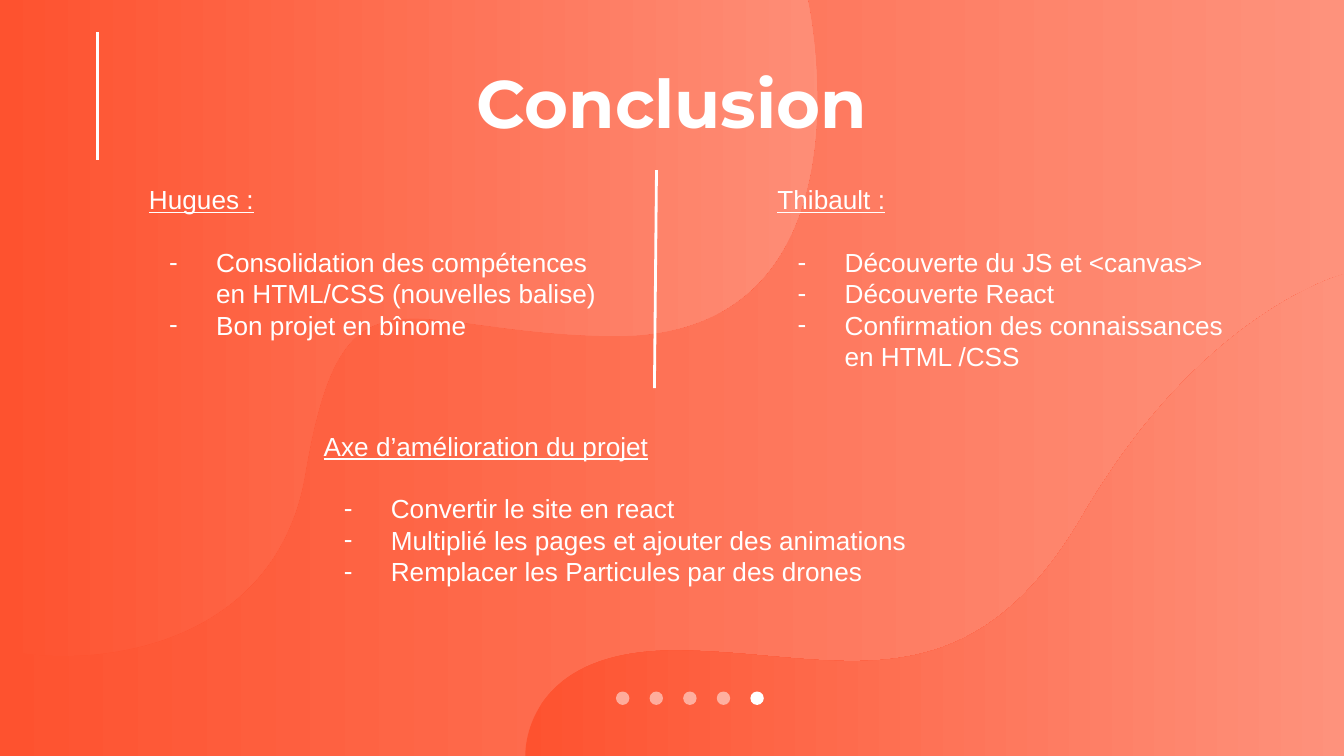
from dataclasses import dataclass

from lxml.etree import Element, SubElement
from pptx import Presentation
from pptx.dml.color import RGBColor
from pptx.enum.shapes import MSO_CONNECTOR as Link, MSO_SHAPE as Kind
from pptx.enum.text import MSO_ANCHOR as Anchor, PP_ALIGN as Align
from pptx.oxml.ns import qn
from pptx.slide import Slide
from pptx.util import Pt

WHITE = RGBColor(0xFF, 0xFF, 0xFF)
RED = RGBColor(0xFE, 0x52, 0x2F)
PEACH = RGBColor(0xFE, 0x92, 0x7C)

Point = tuple[float, float]
Curve = tuple[Point, Point, Point]


@dataclass(frozen=True)
class Wave:
    """Outline from start along the curves, then straight to the corner."""
    start: Point
    curves: list[Curve]
    corner: Point


@dataclass(frozen=True)
class Note:
    box: tuple[float, float, float, float]
    head: str
    items: list[str]


WAVES = [
    Wave((0, 347.8), [
        ((9.4, 349.9), (20.9, 351.4), (33.8, 351.4)),
        ((83.5, 351.4), (150.5, 329.8), (163.4, 254.2)),
        ((175, 185.8), (190.1, 170.6), (221.8, 170.6)),
        ((245.5, 170.6), (278.6, 179.3), (326.9, 180)),
        ((327.6, 180), (329, 180), (329.8, 180)),
        ((472.3, 180), (432.7, 0), (432.7, 0)),
    ], (0, 0)),
    Wave((720, 146.9), [
        ((720, 146.9), (644.4, 166.3), (580.3, 275.8)),
        ((542.2, 341.3), (501.1, 354.2), (456.5, 354.2)),
        ((426.2, 354.2), (394.6, 348.5), (361.4, 348.5)),
        ((278.6, 348.5), (281.5, 405), (281.5, 405)),
    ], (720, 405)),
]

NOTES = [
    Note((72.7, 91.1, 257.8, 133.2), "Hugues :", [
        "Consolidation des compétences en HTML/CSS (nouvelles balise)",
        "Bon projet en bînome",
    ]),
    Note((409.4, 91.1, 257.8, 133.2), "Thibault :", [
        "Découverte du JS et <canvas>",
        "Découverte React",
        "Confirmation des connaissances en HTML /CSS",
    ]),
    Note((166.3, 223.2, 370.8, 116.6), "Axe d’amélioration du projet", [
        "Convertir le site en react",
        "Multiplié les pages et ajouter des animations",
        "Remplacer les Particules par des drones",
    ]),
]

LINES = [((52.3, 17.3), (52.3, 85.7)), ((351.7, 91.2), (350.6, 208))]
DOTS = 5


def shade(fill) -> None:
    fill.gradient()
    fill.gradient_angle = 0
    for stop, color, place in zip(fill.gradient_stops, (RED, PEACH), (0, 1)):
        stop.color.rgb = color
        stop.position = place


def bend(shape, count: int) -> None:
    """Join each three of the first straight steps into one cubic curve."""
    steps = list(shape.element.spPr.iter(qn("a:lnTo")))
    for i in range(0, 3 * count, 3):
        curve = Element(qn("a:cubicBezTo"))
        steps[i].addprevious(curve)
        for step in steps[i:i + 3]:
            curve.append(step[0])
            step.getparent().remove(step)


def add_wave(slide: Slide, wave: Wave) -> None:
    knots = [knot for curve in wave.curves for knot in curve]
    points = [(Pt(x), Pt(y)) for x, y in (wave.start, *knots, wave.corner)]
    pen = slide.shapes.build_freeform(*points[0])
    pen.add_line_segments(points[1:], close=True)
    shape = pen.convert_to_shape()
    bend(shape, len(wave.curves))
    shape.shadow.inherit = False
    shade(shape.fill)
    shape.line.fill.background()


def add_line(slide: Slide, start: Point, end: Point) -> None:
    line = slide.shapes.add_connector(
        Link.STRAIGHT, *(Pt(v) for v in (*start, *end)))
    line.line.color.rgb = WHITE
    line.line.width = Pt(1.5)
    SubElement(line.element.spPr, qn("a:effectLst"))


def add_dot(slide: Slide, left: float, faint: bool) -> None:
    dot = slide.shapes.add_shape(
        Kind.OVAL, Pt(left), Pt(370.5), Pt(7.2), Pt(7.2))
    dot.shadow.inherit = False
    dot.fill.solid()
    dot.fill.fore_color.rgb = WHITE
    dot.line.fill.background()
    if faint:
        color = dot.element.spPr.find(qn("a:solidFill")).find(qn("a:srgbClr"))
        SubElement(color, qn("a:alpha"), val="50000")


def add_box(slide: Slide, box: tuple, inset: float):
    frame = slide.shapes.add_textbox(*(Pt(v) for v in box)).text_frame
    frame.word_wrap = True
    frame.margin_left = frame.margin_right = Pt(inset)
    frame.margin_top = frame.margin_bottom = Pt(inset)
    return frame


def add_run(para, text: str, size: float = 14, face: str = "Arial"):
    run = para.add_run()
    run.text = text
    run.font.size = Pt(size)
    run.font.name = face
    run.font.color.rgb = WHITE
    return run


def add_dash(para) -> None:
    """Give the paragraph a hanging white dash."""
    props = para._p.get_or_add_pPr()
    props.set("marL", str(Pt(36)))
    props.set("indent", str(-Pt(25.2)))
    color = SubElement(props, qn("a:buClr"))
    SubElement(color, qn("a:srgbClr"), val=str(WHITE))
    SubElement(props, qn("a:buFont"), typeface="Arial")
    SubElement(props, qn("a:buChar"), char="-")


def add_note(slide: Slide, note: Note) -> None:
    frame = add_box(slide, note.box, 7.2)
    head = frame.paragraphs[0]
    head.space_after = Pt(16.8)
    add_run(head, note.head).font.underline = True
    for item in note.items:
        para = frame.add_paragraph()
        add_dash(para)
        add_run(para, item)


def add_title(slide: Slide) -> None:
    frame = add_box(slide, (240.5, 26.9, 239, 49), 0)
    frame.vertical_anchor = Anchor.BOTTOM
    para = frame.paragraphs[0]
    para.alignment = Align.CENTER
    add_run(para, "Conclusion", 36, "Montserrat").font.bold = True


def main() -> None:
    deck = Presentation()
    deck.slide_width, deck.slide_height = Pt(720), Pt(405)
    slide = deck.slides.add_slide(deck.slide_layouts[6])
    shade(slide.background.fill)
    for wave in WAVES:
        add_wave(slide, wave)
    for start, end in LINES:
        add_line(slide, start, end)
    add_title(slide)
    for i in range(DOTS):
        add_dot(slide, 330 + 18 * i, faint=i < DOTS - 1)
    for note in NOTES:
        add_note(slide, note)
    deck.save("out.pptx")


if __name__ == "__main__":
    main()
